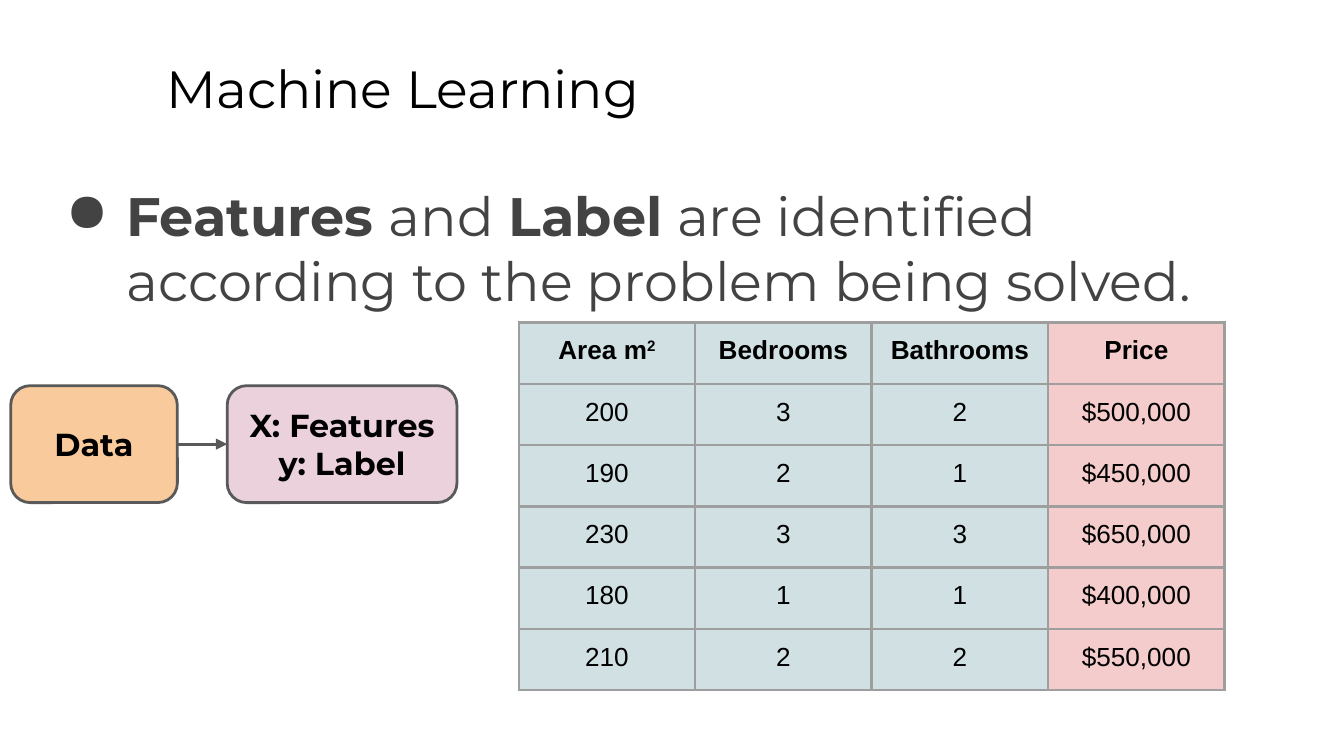
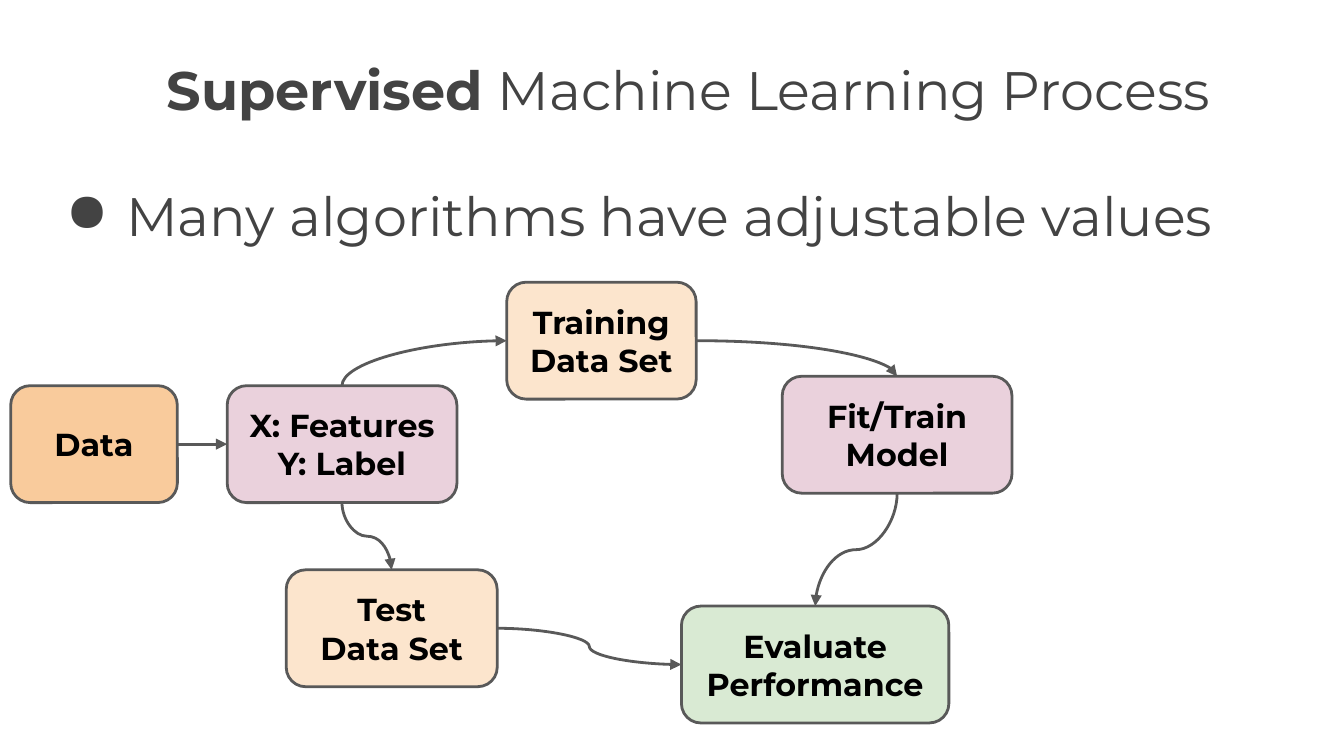
from lxml.etree import SubElement
from pptx import Presentation
from pptx.dml.color import RGBColor
from pptx.enum.shapes import MSO_CONNECTOR, MSO_SHAPE
from pptx.enum.text import MSO_ANCHOR, MSO_AUTO_SIZE, PP_ALIGN
from pptx.oxml import parse_xml
from pptx.oxml.ns import nsdecls, qn
from pptx.util import Inches, Pt

SLIDE_WIDTH, SLIDE_HEIGHT = Inches(10), Inches(5.625)
CELL = SLIDE_WIDTH / 100  # side of a square grid cell
TITLE_ONLY = 5
FONT, TABLE_FONT = "Montserrat", "Arial"
COLORS = {
    "black": "000000",
    "text": "434343",
    "outline": "595959",
    "data": "F9CB9C",
    "step": "EAD1DC",
    "split": "FCE5CD",
    "result": "D9EAD3",
    "feature": "D0E0E3",
    "label": "F4CCCC",
    "border": "9E9E9E",
}
BOX_HEIGHT = 8.7
OUTLINE_WIDTH = Pt(1.5)
TOP, LEFT, BOTTOM, RIGHT = range(4)  # connection sites of a rounded rectangle

HOUSES = [
    ("Area m", "Bedrooms", "Bathrooms", "Price"),
    ("200", "3", "2", "$500,000"),
    ("190", "2", "1", "$450,000"),
    ("230", "3", "3", "$650,000"),
    ("180", "1", "1", "$400,000"),
    ("210", "2", "2", "$550,000"),
]


def color(name):
    return RGBColor.from_string(COLORS[name])


def grid(*cells):
    """Turn numbers of grid cells into slide lengths."""
    return [round(count * CELL) for count in cells]


def format_font(font, size, color_name, name=FONT, bold=None):
    font.name, font.size, font.bold = name, Pt(size), bold
    font.color.rgb = color(color_name)


def set_frame(frame, anchor):
    frame.word_wrap = True
    frame.auto_size = MSO_AUTO_SIZE.NONE
    frame.vertical_anchor = anchor
    frame.margin_left = frame.margin_right = Inches(0.1)
    frame.margin_top = frame.margin_bottom = Inches(0.1)


def add_runs(paragraph, runs):
    """Add (text, bold) pairs to a paragraph."""
    for text, bold in runs:
        run = paragraph.add_run()
        run.text, run.font.bold = text, bold


def add_titled_slide(presentation, runs, size, color_name):
    slide = presentation.slides.add_slide(presentation.slide_layouts[TITLE_ONLY])
    title = slide.shapes.title
    title.left, title.top, title.width, title.height = grid(11.4, 3.2, 85.2, 6.3)
    set_frame(title.text_frame, MSO_ANCHOR.TOP)
    paragraph = title.text_frame.paragraphs[0]
    paragraph.alignment = PP_ALIGN.LEFT
    format_font(paragraph.font, size, color_name)
    add_runs(paragraph, runs)
    return slide


def add_bullet(slide, width, runs):
    box = slide.shapes.add_textbox(*grid(3.4, 12.6, width, 37.4))
    set_frame(box.text_frame, MSO_ANCHOR.TOP)
    paragraph = box.text_frame.paragraphs[0]
    format_font(paragraph.font, 29, "text")
    add_runs(paragraph, runs)
    properties = paragraph._p.get_or_add_pPr()
    properties.set("marL", str(Inches(0.5)))
    properties.set("indent", str(Inches(-0.45)))
    bullet_color = parse_xml(
        f'<a:buClr {nsdecls("a")}><a:srgbClr val="{COLORS["text"]}"/></a:buClr>')
    bullet = parse_xml(f'<a:buChar {nsdecls("a")} char="●"/>')
    properties.insert(0, bullet_color)
    properties.insert(1, bullet)


def add_box(slide, left, top, width, fill, *lines):
    box = slide.shapes.add_shape(
        MSO_SHAPE.ROUNDED_RECTANGLE, *grid(left, top, width, BOX_HEIGHT))
    box.shadow.inherit = False
    box.fill.solid()
    box.fill.fore_color.rgb = color(fill)
    box.line.color.rgb = color("outline")
    box.line.width = OUTLINE_WIDTH
    frame = box.text_frame
    set_frame(frame, MSO_ANCHOR.MIDDLE)
    frame.text = "\n".join(lines)
    for paragraph in frame.paragraphs:
        paragraph.alignment = PP_ALIGN.CENTER
        format_font(paragraph.font, 17, "black", bold=True)
    return box


def turn_connector(connector):
    """Rotate a connector's frame so that its curve leaves vertically."""
    across = connector.end_x - connector.begin_x
    down = connector.end_y - connector.begin_y
    middle_x = (connector.begin_x + connector.end_x) // 2
    middle_y = (connector.begin_y + connector.end_y) // 2
    connector.width, connector.height = abs(down), abs(across)
    connector.left = middle_x - connector.width // 2
    connector.top = middle_y - connector.height // 2
    transform = connector.element.spPr.find(qn("a:xfrm"))
    transform.set("rot", str((270 if across > 0 else 90) * 60000))
    transform.set("flipH", "1" if across * down > 0 else "0")
    transform.set("flipV", "0")


def connect(slide, start, start_site, end, end_site, kind=MSO_CONNECTOR.CURVE):
    connector = slide.shapes.add_connector(kind, 0, 0, 0, 0)
    connector.begin_connect(start, start_site)
    connector.end_connect(end, end_site)
    connector.line.color.rgb = color("outline")
    connector.line.width = OUTLINE_WIDTH
    properties = connector.element.spPr
    SubElement(properties.find(qn("a:ln")), qn("a:tailEnd"), type="triangle")
    SubElement(properties, qn("a:effectLst"))
    if kind == MSO_CONNECTOR.CURVE:
        if start_site % 2 != end_site % 2:
            properties.find(qn("a:prstGeom")).set("prst", "curvedConnector2")
        if start_site in (TOP, BOTTOM):
            turn_connector(connector)


def add_data_boxes(slide, label):
    """Add the data box, its arrow and the features box, which is returned."""
    data = add_box(slide, 0.8, 28.7, 12.4, "data", "Data")
    features = add_box(slide, 16.9, 28.7, 17.1, "step", "X: Features", label)
    connect(slide, data, RIGHT, features, LEFT, MSO_CONNECTOR.STRAIGHT)
    return features


def set_borders(cell):
    properties = cell._tc.get_or_add_tcPr()
    for index, side in enumerate(("lnL", "lnR", "lnT", "lnB")):
        properties.insert(index, parse_xml(
            f'<a:{side} {nsdecls("a")} w="{OUTLINE_WIDTH}"><a:solidFill>'
            f'<a:srgbClr val="{COLORS["border"]}"/></a:solidFill></a:{side}>'))


def add_house_table(slide):
    rows, columns = len(HOUSES), len(HOUSES[0])
    column_width, row_height = 13.13, 4.56
    table = slide.shapes.add_table(rows, columns, *grid(
        38.6, 24, columns * column_width, rows * row_height)).table
    table.first_row = table.horz_banding = False
    for row_index, values in enumerate(HOUSES):
        for column_index, value in enumerate(values):
            cell = table.cell(row_index, column_index)
            cell.margin_top = cell.margin_bottom = Inches(0.1)
            cell.fill.solid()
            cell.fill.fore_color.rgb = color(
                "label" if column_index == columns - 1 else "feature")
            set_borders(cell)
            cell.text = value
            paragraph = cell.text_frame.paragraphs[0]
            paragraph.alignment = PP_ALIGN.CENTER
            format_font(paragraph.font, 14, "black", TABLE_FONT, row_index == 0)
    exponent = table.cell(0, 0).text_frame.paragraphs[0].add_run()
    exponent.text = "2"
    exponent._r.get_or_add_rPr().set("baseline", "30000")


def add_features_slide(presentation):
    slide = add_titled_slide(
        presentation, [("Machine Learning", False)], 28, "black")
    add_bullet(slide, 95, [
        ("Features ", True), ("and ", False), ("Label", True),
        (" are identified according to the problem being solved.", False)])
    add_data_boxes(slide, "y: Label")
    add_house_table(slide)


def add_process_slide(presentation):
    slide = add_titled_slide(presentation, [
        ("Supervised", True), (" Machine Learning Process", False)], 29, "text")
    add_bullet(slide, 96.6, [("Many algorithms have adjustable values", False)])
    features = add_data_boxes(slide, "Y: Label")
    training = add_box(slide, 37.7, 21, 14.1, "split", "Training Data Set")
    test = add_box(slide, 21.3, 42.4, 15.7, "split", "Test", "Data Set")
    model = add_box(slide, 58.2, 28, 17.1, "step", "Fit/Train Model")
    evaluation = add_box(
        slide, 50.7, 45.1, 19.9, "result", "Evaluate", "Performance")
    connect(slide, features, BOTTOM, test, TOP)
    connect(slide, features, TOP, training, LEFT)
    connect(slide, training, RIGHT, model, TOP)
    connect(slide, test, RIGHT, evaluation, LEFT)
    connect(slide, model, BOTTOM, evaluation, TOP)


def main():
    presentation = Presentation()
    presentation.slide_width, presentation.slide_height = SLIDE_WIDTH, SLIDE_HEIGHT
    add_features_slide(presentation)
    add_process_slide(presentation)
    presentation.save("out.pptx")


if __name__ == "__main__":
    main()
